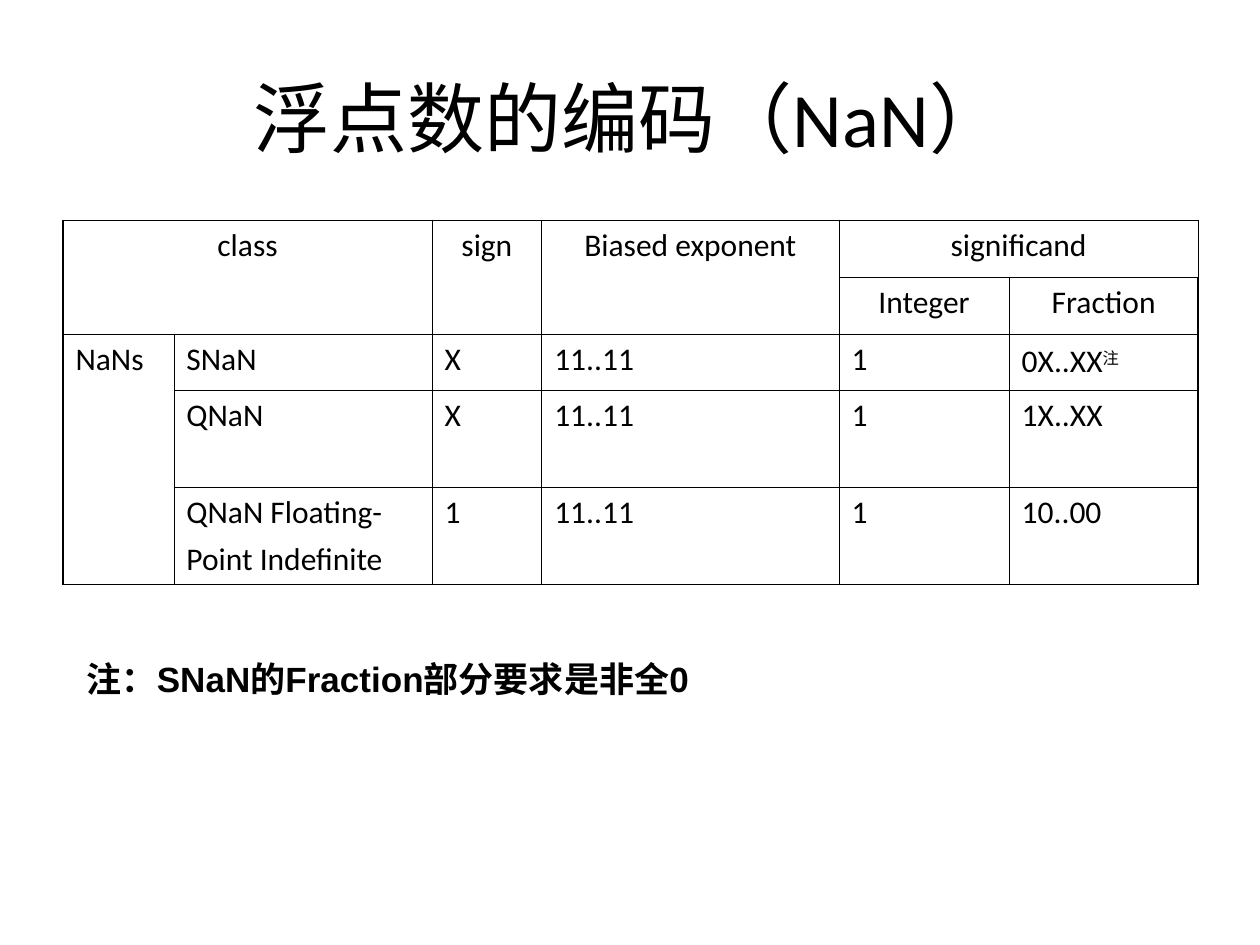
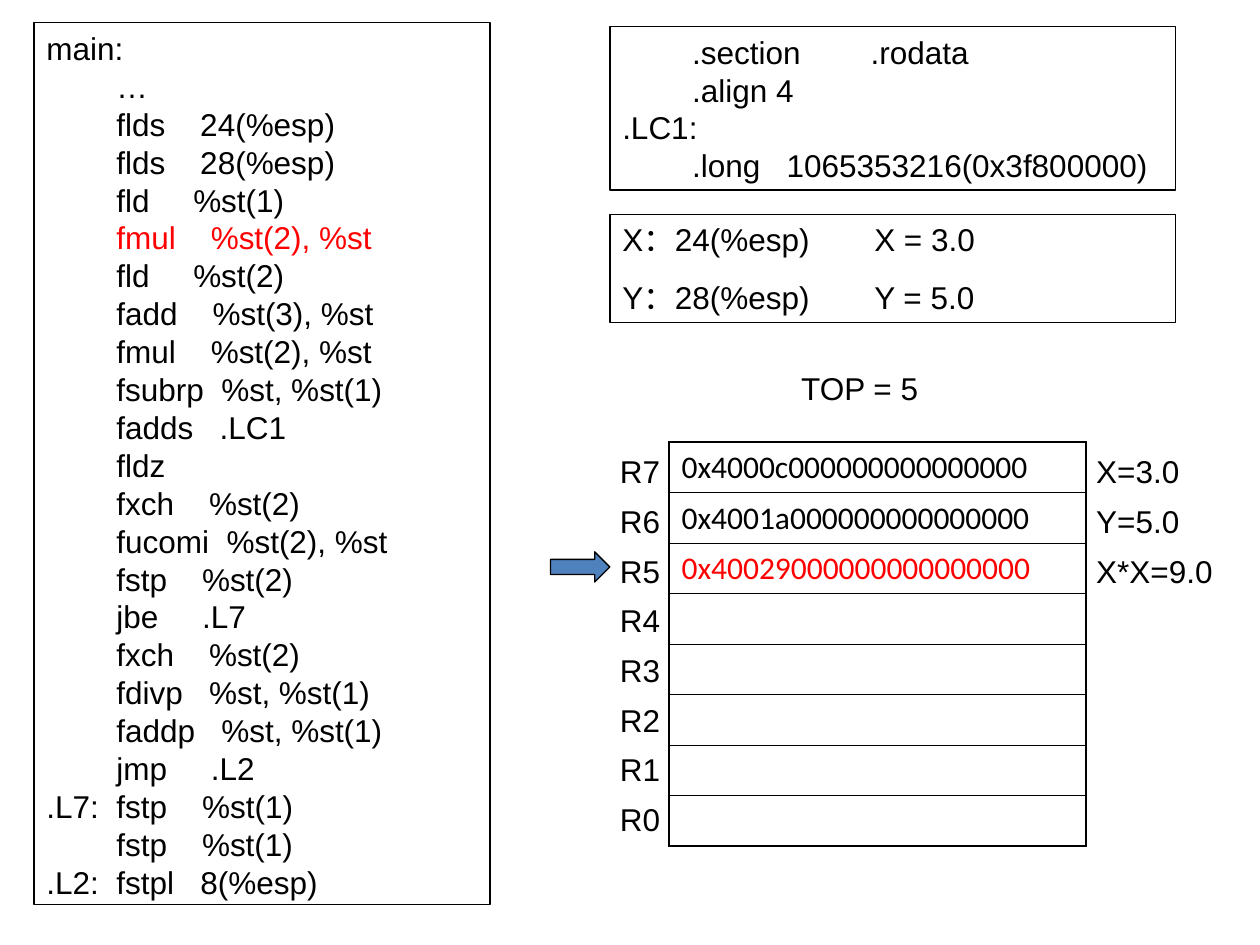
"""Build two slides on NaN encoding and the x87 register stack."""
import pptx
import pptx.util
import pptx.dml.color
import pptx.enum.shapes
import pptx.enum.text
import pptx.oxml.ns
from lxml import etree

Inches = pptx.util.Inches
Pt = pptx.util.Pt
RGB = pptx.dml.color.RGBColor.from_string
Kind = pptx.enum.shapes.MSO_SHAPE
Align = pptx.enum.text.PP_ALIGN
Anchor = pptx.enum.text.MSO_ANCHOR
qn = pptx.oxml.ns.qn
HUES = {"ink": "000000", "hot": "FF0000", "arrow": "4F81BD"}
THICK, THIN = 1.08, 0.45


def write(frame, lines, face="Arial", size=18, hue="ink", align=Align.LEFT, gap=0, pad=(0.1, 0.05), bold=False, pitch=None):
    frame.word_wrap = True
    frame.margin_left = frame.margin_right = Inches(pad[0])
    frame.margin_top = frame.margin_bottom = Inches(pad[1])
    for i, line in enumerate(lines):
        para = frame.add_paragraph() if i else frame.paragraphs[0]
        para.alignment = align
        para.line_spacing = pitch
        if i:
            para.space_before = Pt(gap)
        run = para.add_run()
        run.text = line
        run.font.name = face
        run.font.size = Pt(size)
        run.font.bold = bold
        run.font.color.rgb = RGB(HUES[hue])


def grid(slide, left, top, wides, highs):
    frame = slide.shapes.add_table(len(highs), len(wides), Inches(left), Inches(top), Inches(sum(wides)), Inches(sum(highs)))
    table = frame.table
    table.first_row = table.horz_banding = False
    for col, wide in zip(table.columns, wides):
        col.width = Inches(wide)
    for row, high in zip(table.rows, highs):
        row.height = Inches(high)
    for r in range(len(highs)):
        for c in range(len(wides)):
            cell = table.cell(r, c)
            props = cell._tc.get_or_add_tcPr()
            outer = {"L": c == 0, "R": c == len(wides) - 1, "T": r == 0, "B": r == len(highs) - 1}
            for side, edge in outer.items():
                line = etree.SubElement(props, qn("a:ln" + side), w=str(Pt(THICK if edge else THIN)))
                fill = etree.SubElement(line, qn("a:solidFill"))
                etree.SubElement(fill, qn("a:srgbClr"), val=HUES["ink"])
            cell.fill.background()
    return table


deck = pptx.Presentation()
deck.slide_width, deck.slide_height = Inches(10), Inches(7.5)
blank = deck.slide_layouts[6]

nans = deck.slides.add_slide(blank)
title = nans.shapes.add_textbox(Inches(0.5), Inches(0.3), Inches(9), Inches(1.25))
title.text_frame.vertical_anchor = Anchor.MIDDLE
write(title.text_frame, ["浮点数的编码（NaN）"], "Calibri", 44, align=Align.CENTER)

table = grid(nans, 0.5, 1.75, [0.88, 2.05, 0.87, 2.36, 1.35, 1.5], [0.45, 0.45, 0.45, 0.77, 0.77])
for start, end in [((0, 0), (1, 1)), ((0, 2), (1, 2)), ((0, 3), (1, 3)), ((0, 4), (0, 5)), ((2, 0), (4, 0))]:
    table.cell(*start).merge(table.cell(*end))
rows = [
    ["class", "", "sign", "Biased exponent", "significand", ""],
    ["", "", "", "", "Integer", "Fraction"],
    ["NaNs", "SNaN", "X", "11..11", "1", "0X..XX"],
    ["", "QNaN", "X", "11..11", "1", "1X..XX"],
    ["", "QNaN Floating-\nPoint Indefinite", "1", "11..11", "1", "10..00"],
]
for r, row in enumerate(rows):
    for c, text in enumerate(row):
        if text:
            align = Align.CENTER if r < 2 else Align.LEFT
            write(table.cell(r, c).text_frame, text.split("\n"), "Calibri", align=align, gap=4.5)
mark = table.cell(2, 5).text_frame.paragraphs[0].add_run()
mark.text = "注"
mark.font.name = "Calibri"
mark.font.size = Pt(16)
mark.font.color.rgb = RGB(HUES["ink"])
mark.font._element.set("baseline", "30000")

note = nans.shapes.add_textbox(Inches(0.59), Inches(5.17), Inches(7.4), Inches(0.44))
write(note.text_frame, ["注：SNaN的Fraction部分要求是非全0"], size=20, bold=True)

stack = deck.slides.add_slide(blank)
code = """main:
        …
        flds    24(%esp)
        flds    28(%esp)
        fld     %st(1)
        fmul    %st(2), %st
        fld     %st(2)
        fadd    %st(3), %st
        fmul    %st(2), %st
        fsubrp  %st, %st(1)
        fadds   .LC1
        fldz
        fxch    %st(2)
        fucomi  %st(2), %st
        fstp    %st(2)
        jbe     .L7
        fxch    %st(2)
        fdivp   %st, %st(1)
        faddp   %st, %st(1)
        jmp     .L2
.L7:  fstp    %st(1)
        fstp    %st(1)
.L2:  fstpl   8(%esp)"""
data = """        .section        .rodata
        .align 4
.LC1:
        .long   1065353216(0x3f800000)"""
vars = "X：24(%esp)\tX = 3.0\nY：28(%esp)\tY = 5.0"
panes = []
for left, top, wide, high, text, gap, pitch in [
    (0.27, 0.18, 3.62, 7, code, 0, Pt(21.65)),
    (4.84, 0.21, 4.49, 1.3, data, 0, Pt(21.65)),
    (4.84, 1.7, 4.49, 0.86, vars, 11.2, None),
]:
    pane = stack.shapes.add_shape(Kind.RECTANGLE, Inches(left), Inches(top), Inches(wide), Inches(high))
    pane.shadow.inherit = False
    pane.fill.background()
    pane.line.color.rgb = RGB(HUES["ink"])
    pane.line.width = Pt(0.75)
    pane.text_frame.vertical_anchor = Anchor.TOP
    write(pane.text_frame, text.split("\n"), gap=gap, pitch=pitch)
    panes.append(pane)
panes[0].text_frame.paragraphs[5].runs[0].font.color.rgb = RGB(HUES["hot"])
for para in panes[2].text_frame.paragraphs:
    tabs = etree.Element(qn("a:tabLst"))
    etree.SubElement(tabs, qn("a:tab"), pos=str(Inches(2)), algn="l")
    para._p.get_or_add_pPr().append(tabs)

top = stack.shapes.add_textbox(Inches(6.26), Inches(2.88), Inches(1.18), Inches(0.4))
write(top.text_frame, ["TOP = 5"])

regs = grid(stack, 5.31, 3.51, [3.31], [0.4] * 8)
values = ["0x4000c000000000000000", "0x4001a000000000000000", "0x40029000000000000000"]
for r, value in enumerate(values):
    write(regs.cell(r, 0).text_frame, [value], "Calibri", hue="hot" if r == 2 else "ink")

names = [f"R{7 - i}" for i in range(8)]
for left, wide, labels in [(4.92, 0.39, names), (8.7, 1.02, ["X=3.0", "Y=5.0", "X*X=9.0"])]:
    for i, text in enumerate(labels):
        label = stack.shapes.add_textbox(Inches(left), Inches(3.59 + i * 2.76 / 7), Inches(wide), Inches(0.3))
        write(label.text_frame, [text], pad=(0, 0))

arrow = stack.shapes.add_shape(Kind.RIGHT_ARROW, Inches(4.37), Inches(4.38), Inches(0.47), Inches(0.24))
arrow.shadow.inherit = False
arrow.fill.solid()
arrow.fill.fore_color.rgb = RGB(HUES["arrow"])
arrow.line.color.rgb = RGB(HUES["ink"])
arrow.line.width = Pt(0.75)

deck.save("out.pptx")
